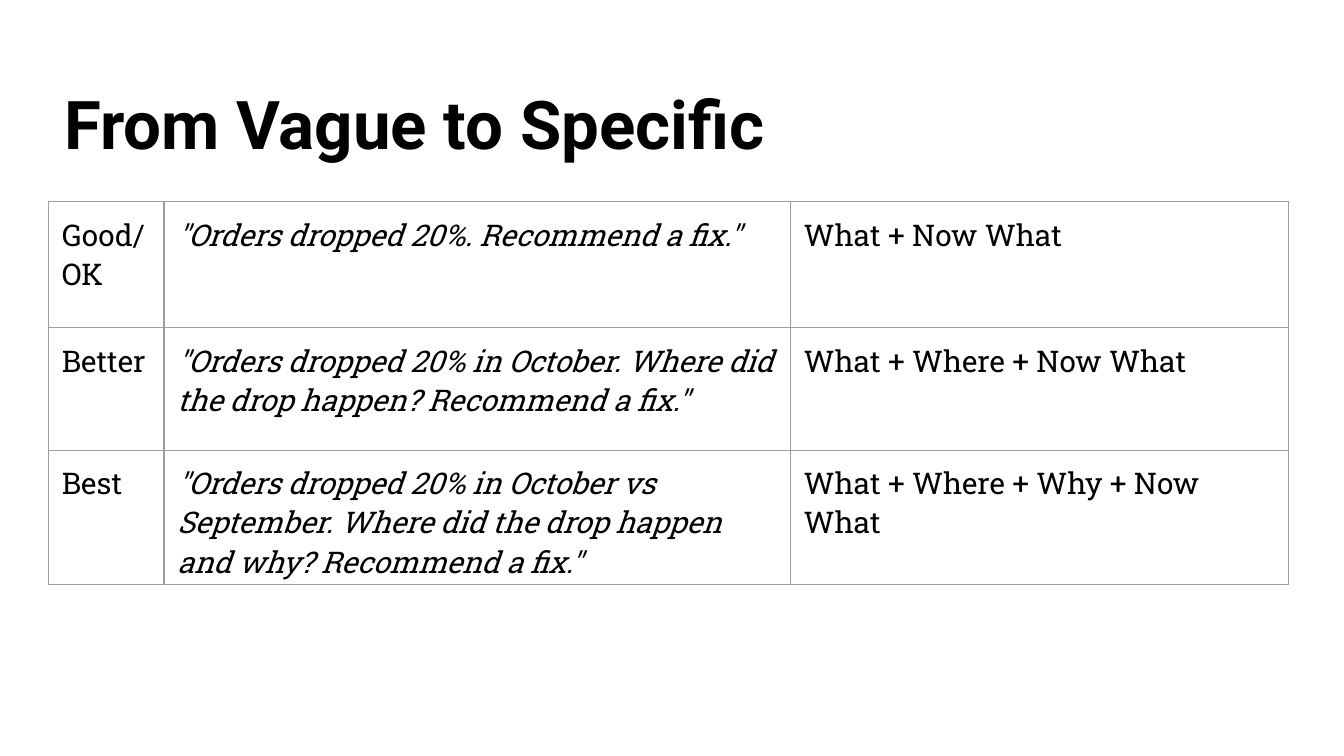
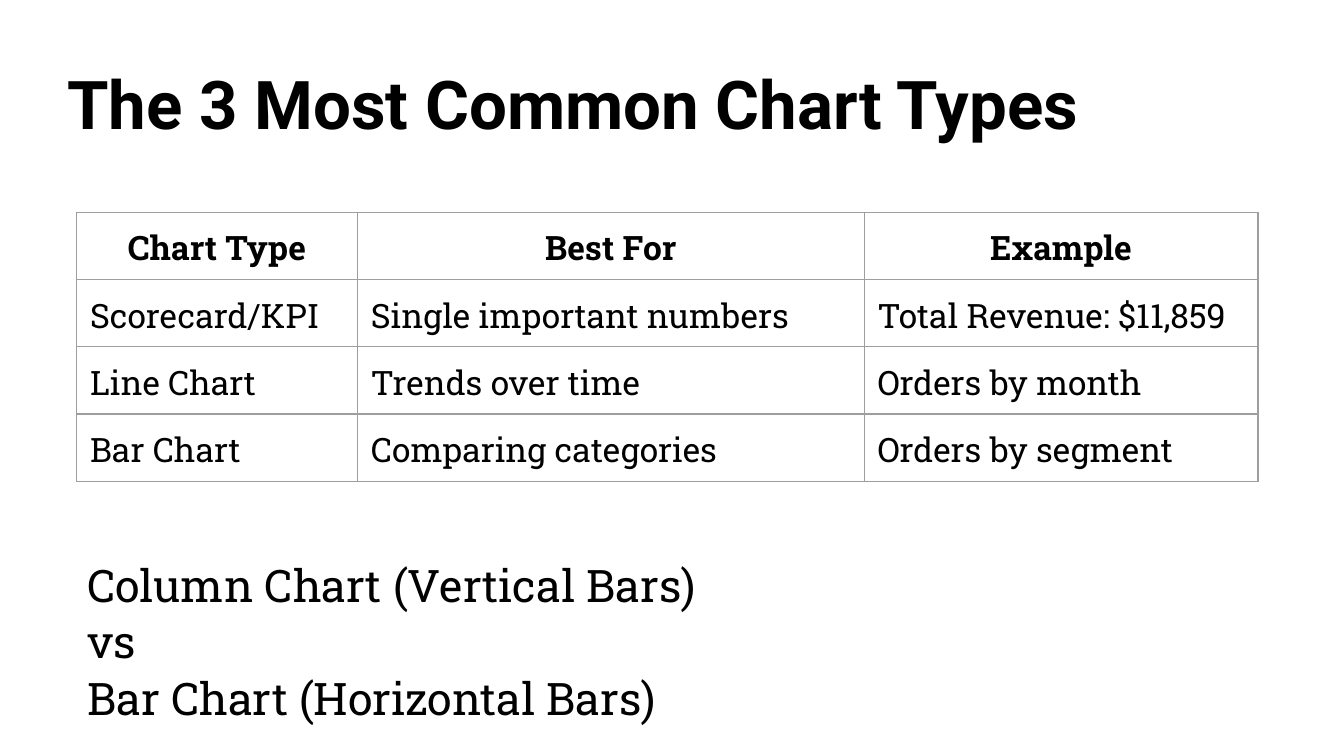
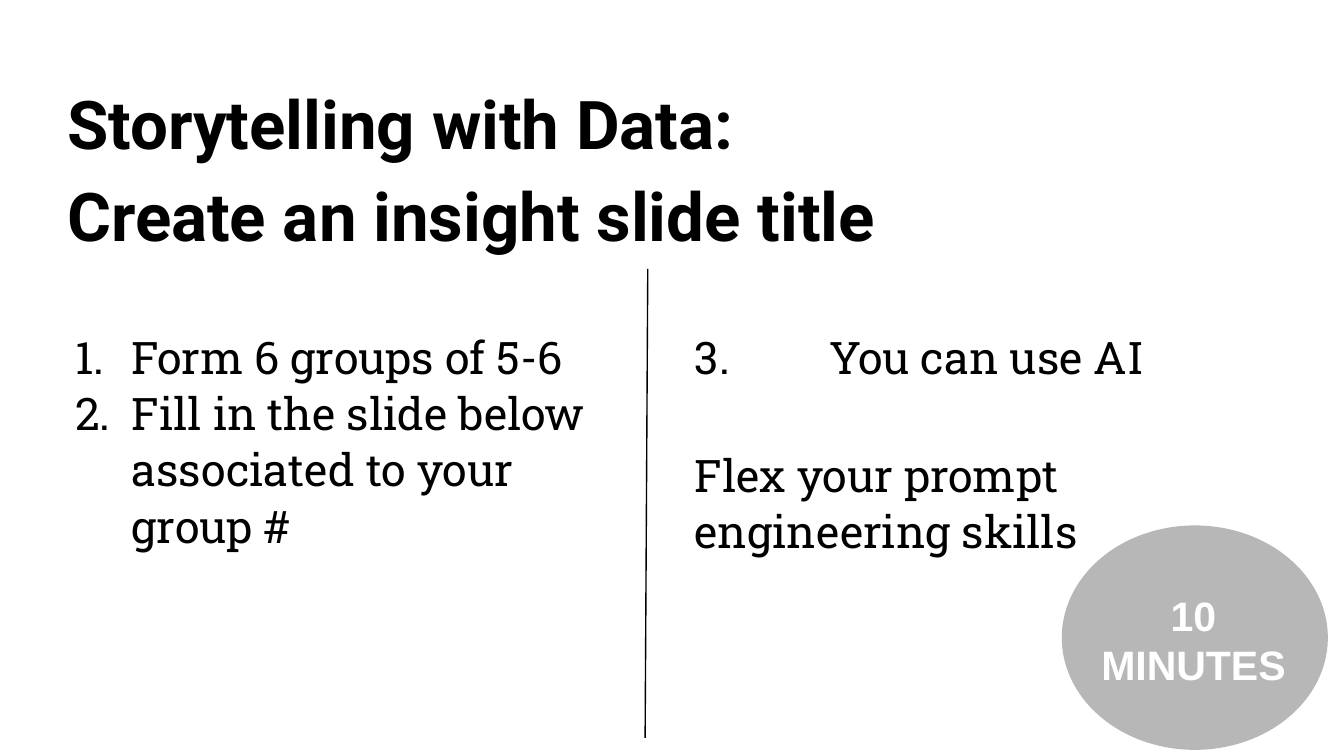
import pptx
import pptx.dml.color
import pptx.enum.shapes
import pptx.enum.text
import pptx.oxml
import pptx.oxml.ns
import pptx.util

PX = 9144  # 100 px to the inch
RGB = pptx.dml.color.RGBColor.from_string
ALIGN = pptx.enum.text.PP_ALIGN
SIDES = ("left", "top", "right", "bottom")


class Theme:
    ink = "000000"
    grid = "9E9E9E"
    badge = "B7B7B7"
    light = "FFFFFF"
    rule = pptx.util.Pt(0.75)
    title = {"name": "Roboto", "size": pptx.util.Pt(36), "bold": True}
    body = {"name": "Roboto Slab", "size": pptx.util.Pt(24), "bold": False}
    timer = {"name": "Arial", "size": pptx.util.Pt(22), "bold": True}
    pad = (0, 4, 7, 4)
    inset = (10, 10, 10, 10)


def write(frame, lines, look, ink=Theme.ink, **form):
    """Fill a text frame with one paragraph a line, all in the same look."""
    frame.word_wrap = True
    for i, line in enumerate(lines):
        para = frame.paragraphs[0] if i == 0 else frame.add_paragraph()
        run = para.add_run()
        run.text = line
        for key, value in look.items():
            setattr(run.font, key, value)
        run.font.color.rgb = RGB(ink)
        for key, value in form.items():
            setattr(para, key, value)
    return frame


def box(slide, area, lines, look, pad=Theme.pad, **form):
    shape = slide.shapes.add_textbox(*[n * PX for n in area])
    for side, n in zip(SIDES, pad):
        setattr(shape.text_frame, "margin_" + side, n * PX)
    return write(shape.text_frame, lines, look, **form)


deck = pptx.Presentation()
deck.slide_width, deck.slide_height = 1000 * PX, 5625 * PX // 10
vague, types, story = [deck.slides.add_slide(deck.slide_layouts[6]) for _ in range(3)]

# Titles
titles = [
    (vague, (48, 63, 900, 74), ["From Vague to Specific"], 0.92),
    (types, (50, 48, 900, 72), ["The 3 Most Common Chart Types"], 0.92),
    (story, (50, 48, 900, 121),
     ["Storytelling with Data:", "Create an insight slide title"], 1.15),
]
for slide, area, lines, space in titles:
    box(slide, area, lines, Theme.title, line_spacing=space)

# Tables
levels = [
    ("Good/OK", '"Orders dropped 20%. Recommend a fix."', "What + Now What"),
    ("Better",
     '"Orders dropped 20% in October. Where did the drop happen? Recommend a fix."',
     "What + Where + Now What"),
    ("Best",
     '"Orders dropped 20% in October vs September. Where did the drop happen and why? '
     'Recommend a fix."',
     "What + Where + Why + Now What"),
]
charts = [
    ("Chart Type", "Best For", "Example"),
    ("Scorecard/KPI", "Single important numbers", "Total Revenue: $11,859"),
    ("Line Chart", "Trends over time", "Orders by month"),
    ("Bar Chart", "Comparing categories", "Orders by segment"),
]
# slide, left, top, widths, heights, rows, size, italic column, has head
tables = [
    (vague, 36, 150, (86, 466, 371), (94, 91, 91), levels, 16, 1, False),
    (types, 57, 158, (209, 377, 293), (42,) * 4, charts, 18, None, True),
]
for slide, left, top, wide, high, rows, size, slant, head in tables:
    area = [n * PX for n in (left, top, sum(wide), sum(high))]
    table = slide.shapes.add_table(len(high), len(wide), *area).table
    table.first_row = table.horz_banding = False
    for col, n in zip(table.columns, wide):
        col.width = n * PX
    for r, row in enumerate(rows):
        table.rows[r].height = high[r] * PX
        top_row = head and r == 0
        for c, text in enumerate(row):
            cell = table.cell(r, c)
            cell.fill.background()
            for side, n in zip(SIDES, Theme.inset):
                setattr(cell, "margin_" + side, n * PX)
            look = Theme.body | {"size": pptx.util.Pt(size), "bold": top_row,
                                 "italic": c == slant}
            write(cell.text_frame, [text], look,
                  alignment=ALIGN.CENTER if top_row else ALIGN.LEFT)
            props = cell._tc.get_or_add_tcPr()
            for i, edge in enumerate("LRTB"):
                props.insert(i, pptx.oxml.parse_xml(
                    f'<a:ln{edge} {pptx.oxml.ns.nsdecls("a")} w="{Theme.rule}">'
                    f'<a:solidFill><a:srgbClr val="{Theme.grid}"/></a:solidFill>'
                    f'</a:ln{edge}>'))

# Chart names under the table
box(types, (65, 409, 899, 141),
    ["Column Chart (Vertical Bars)", "vs", "Bar Chart (Horizontal Bars)"],
    Theme.body, line_spacing=1.05)

# Task steps in two columns
low = (0, 44, 7, 4)
steps = box(story, (48, 199, 432, 262),
            ["Form 6 groups of 5-6", "Fill in the slide below associated to your group #"],
            Theme.body, low)
hints = box(story, (517, 199, 432, 262),
            ["3.\tYou can use AI", "Flex your prompt engineering skills"],
            Theme.body, low)
for para in steps.paragraphs:
    props = para._p.get_or_add_pPr()
    props.set("marL", str(50 * PX))
    props.set("indent", str(-42 * PX))
    props.append(pptx.oxml.parse_xml(
        f'<a:buAutoNum {pptx.oxml.ns.nsdecls("a")} type="arabicPeriod"/>'))
hints.paragraphs[0]._p.get_or_add_pPr().append(pptx.oxml.parse_xml(
    f'<a:tabLst {pptx.oxml.ns.nsdecls("a")}><a:tab pos="{100 * PX}" algn="l"/></a:tabLst>'))
for para in steps.paragraphs + hints.paragraphs:
    para.line_spacing = 1.05
hints.paragraphs[1].space_before = pptx.util.Pt(33)

# Timer badge
badge = story.shapes.add_shape(pptx.enum.shapes.MSO_SHAPE.OVAL,
                               *[n * PX for n in (790, 391, 198, 167)])
badge.shadow.inherit = False
badge.fill.solid()
badge.fill.fore_color.rgb = RGB(Theme.badge)
badge.line.fill.background()
box(story, (809, 429, 158, 92), ["10 MINUTES"], Theme.timer, Theme.inset,
    ink=Theme.light, alignment=ALIGN.CENTER)

# Line between the columns
split = story.shapes.add_connector(pptx.enum.shapes.MSO_CONNECTOR.STRAIGHT,
                                   *[n * PX for n in (482, 200, 480, 549)])
split.line.color.rgb = RGB(Theme.ink)
split.line.width = Theme.rule
split._element.spPr.append(pptx.oxml.parse_xml(
    f'<a:effectLst {pptx.oxml.ns.nsdecls("a")}/>'))

deck.save("out.pptx")
